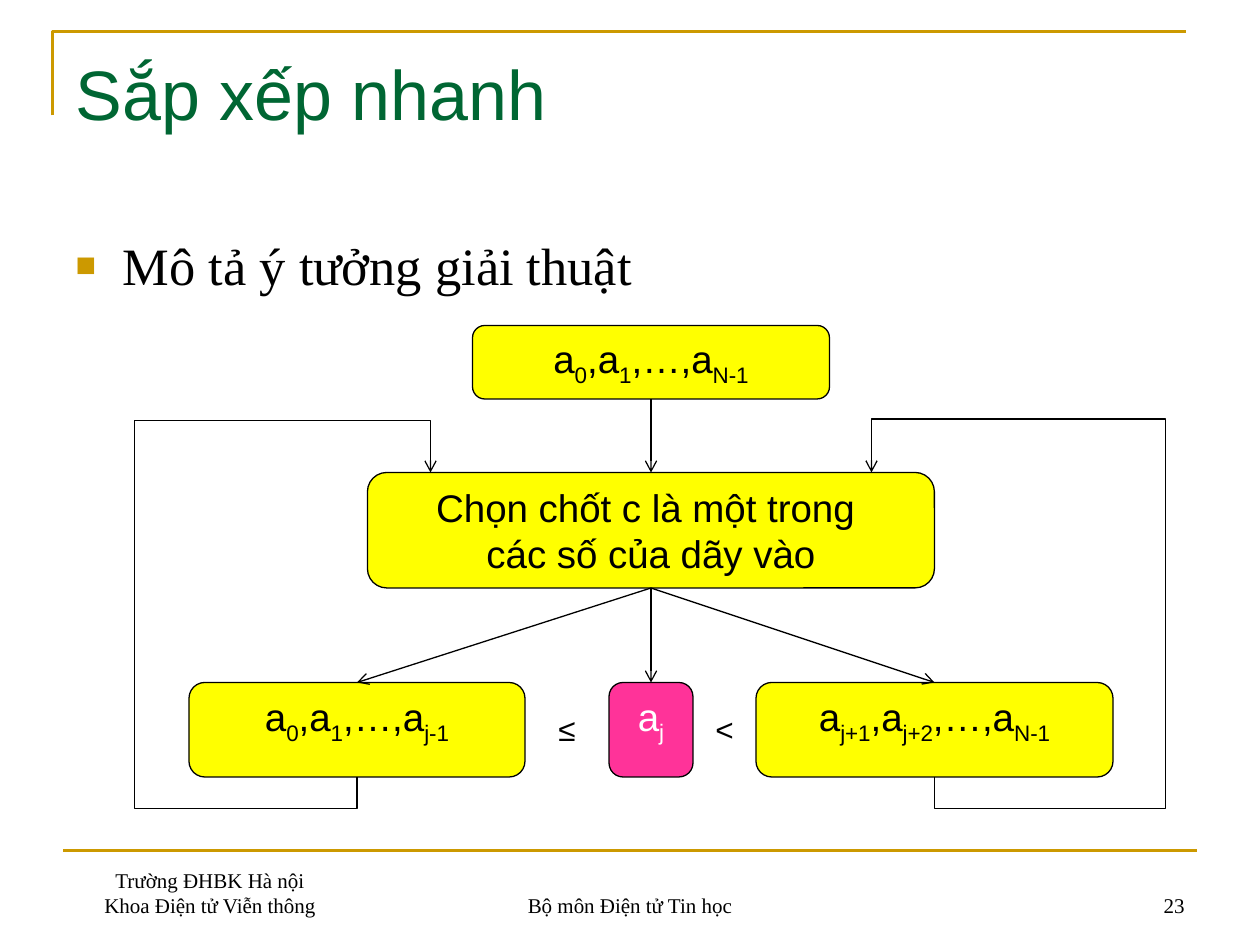
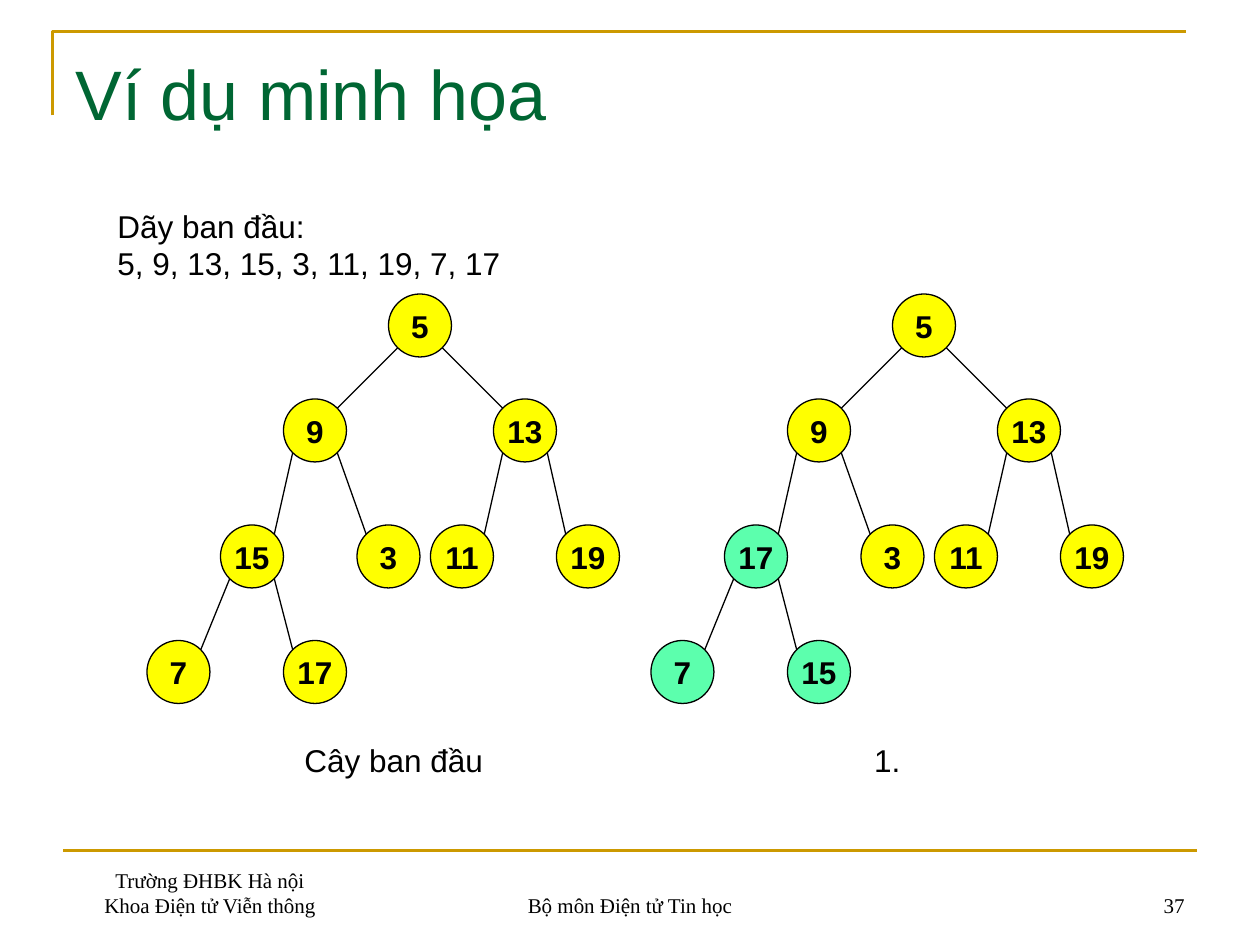
import math

import pptx
import pptx.dml.color
import pptx.enum.shapes
import pptx.enum.text
import pptx.oxml
import pptx.oxml.ns
import pptx.util

Pt = pptx.util.Pt
SHAPE = pptx.enum.shapes.MSO_SHAPE
CONNECTOR = pptx.enum.shapes.MSO_CONNECTOR
ALIGN = pptx.enum.text.PP_ALIGN
ANCHOR = pptx.enum.text.MSO_ANCHOR

COLOURS = {"gold": "CC9900", "title": "006633", "ink": "000000", "white": "FFFFFF",
           "yellow": "FFFF00", "pink": "FF3399", "mint": "5CFFAD"}
SANS, SERIF = "Arial", "Times New Roman"
TITLE_AREA = (36, 21.6, 648, 90)
BODY_AREA = (36, 126, 648, 356)
FOOTERS = [
    (["Trường ĐHBK Hà nội", "Khoa Điện tử Viễn thông"], (36, 492, 168, 36), ALIGN.CENTER),
    (["Bộ môn Điện tử Tin học"], (246, 492, 228, 36), ALIGN.CENTER),
]
NUMBER_AREA = (516, 492, 168, 36)

# Quicksort diagram. In a formula, every second piece is a subscript.
IDEA = "Mô tả ý tưởng giải thuật"
STEPS = {
    "input": ((270, 186, 204, 42), "yellow", [["a", "0", ",a", "1", ",…,a", "N-1"]]),
    "pivot": ((210, 270, 324, 66), "yellow",
              [["Chọn chốt c là một trong "], ["các số của dãy vào"]]),
    "low": ((108, 390, 192, 54), "yellow", [["a", "0", ",a", "1", ",…,a", "j-1"]]),
    "high": ((432, 390, 204, 54), "yellow", [["a", "j+1", ",a", "j+2", ",…,a", "N-1"]]),
    "middle": ((348, 390, 48, 54), "pink", [["a", "j"]]),
}
ARROWS = [("input", "pivot"), ("pivot", "middle"), ("pivot", "low"), ("pivot", "high")]
# step, x of the outer lane, y of the lane above the pivot, x where it enters the pivot
LOOPS = [("low", 77, 240.5, 246), ("high", 666, 239.5, 498)]
LOOP_DROP = 18
SIGNS = [("≤", (306, 402, 36, 29)), ("<", (396, 402, 36, 29))]

# Heap example. Node i has children 2i+1 and 2i+2.
SEQUENCE = ["Dãy ban đầu:", "5, 9, 13, 15, 3, 11, 19, 7, 17"]
NODE_PLACES = [(222, 168), (162, 228), (282, 228), (126, 300), (204, 300),
               (246, 300), (318, 300), (84, 366), (162, 366)]
NODE_SIZE = 36
TREE_STEP = 288
TREES = [
    ([5, 9, 13, 15, 3, 11, 19, 7, 17], set(), "Cây ban đầu", (144, 420, 162, 29)),
    ([5, 9, 13, 17, 3, 11, 19, 7, 15], {3, 7, 8}, "1.", (468, 420, 78, 29)),
]


def rgb(name):
    return pptx.dml.color.RGBColor.from_string(COLOURS[name])


def points(values):
    return [Pt(value) for value in values]


def style(frame, size, font, colour="ink", align=ALIGN.LEFT, bold=False):
    for para in frame.paragraphs:
        para.alignment = align
        for span in para.runs:
            span.font.size = Pt(size)
            span.font.name = font
            span.font.bold = bold
            span.font.color.rgb = rgb(colour)


def add_text(page, lines, area, size=18, font=SANS, align=ALIGN.CENTER, anchor=ANCHOR.TOP):
    frame = page.shapes.add_textbox(*points(area)).text_frame
    frame.word_wrap = True
    frame.vertical_anchor = anchor
    frame.text = "\n".join(lines)
    style(frame, size, font, align=align)


def add_outlined(page, kind, area, fill):
    box = page.shapes.add_shape(kind, *points(area))
    box.shadow.inherit = False
    box.fill.solid()
    box.fill.fore_color.rgb = rgb(fill)
    box.line.color.rgb = rgb("ink")
    box.line.width = Pt(0.75)
    return box


def add_line(page, start, end, colour="ink", width=0.75, arrow=False, kind=CONNECTOR.STRAIGHT):
    line = page.shapes.add_connector(kind, *points(start + end))
    line.line.color.rgb = rgb(colour)
    line.line.width = Pt(width)
    if arrow:
        tail = pptx.oxml.parse_xml(
            f'<a:tailEnd {pptx.oxml.ns.nsdecls("a")} type="arrow"/>')
        line.line._get_or_add_ln().append(tail)
    line._element.spPr.append(
        pptx.oxml.parse_xml(f'<a:effectLst {pptx.oxml.ns.nsdecls("a")}/>'))
    return line


def place(holder, area):
    holder.left, holder.top, holder.width, holder.height = points(area)
    frame = holder.text_frame
    frame.auto_size = pptx.enum.text.MSO_AUTO_SIZE.NONE
    frame.vertical_anchor = ANCHOR.TOP
    frame.margin_top = Pt(7.2)
    return frame


def add_page(deck, layout, title, number):
    """Add a slide with the shared frame, title and footers."""
    page = deck.slides.add_slide(deck.slide_layouts[layout])
    corner = page.shapes.build_freeform(Pt(30), Pt(66))
    corner.add_line_segments([points((30, 18)), points((678, 18))], close=False)
    corner = corner.convert_to_shape()
    corner.shadow.inherit = False
    corner.fill.background()
    corner.line.color.rgb = rgb("gold")
    corner.line.width = Pt(1.5)
    add_line(page, (36, 486), (684, 486), "gold", 1.5)

    frame = place(page.shapes.title, TITLE_AREA)
    frame.text = title
    style(frame, 40, SANS, "title")
    for lines, area, align in FOOTERS + [([number], NUMBER_AREA, ALIGN.RIGHT)]:
        add_text(page, lines, area, 12, SERIF, align, ANCHOR.BOTTOM)
    return page


def add_bullet(page, text):
    frame = place(page.placeholders[1], BODY_AREA)
    frame.text = text
    style(frame, 30, SERIF)
    para = frame.paragraphs[0]
    para.space_before = Pt(0)
    properties = para._p.get_or_add_pPr()
    properties.set("marL", str(Pt(27)))
    properties.set("indent", str(-Pt(27)))
    for tag in (f'buClr {{}}><a:srgbClr val="{COLOURS["gold"]}"/></a:buClr',
                'buSzPct {} val="65000"/', 'buFont {} typeface="Arial"/',
                'buChar {} char="■"/'):
        properties.append(pptx.oxml.parse_xml(
            f'<a:{tag.format(pptx.oxml.ns.nsdecls("a"))}>'))


def add_step(page, area, fill, lines):
    box = add_outlined(page, SHAPE.ROUNDED_RECTANGLE, area, fill)
    frame = box.text_frame
    frame.word_wrap = True
    frame.vertical_anchor = ANCHOR.TOP
    for row, pieces in enumerate(lines):
        para = frame.add_paragraph() if row else frame.paragraphs[0]
        for index, piece in enumerate(pieces):
            span = para.add_run()
            span.text = piece
            if index % 2:
                span.font._element.set("baseline", "-25000")
    style(frame, 22, SANS, "white" if fill == "pink" else "ink", ALIGN.CENTER)
    return box


def add_loop(page, start, end, lane_x, lane_y):
    """Draw a five-part elbow that leaves downwards and enters end from above."""
    rise, shift = start[1] - end[1], end[0] - start[0]
    middle_x, middle_y = (start[0] + end[0]) / 2, (start[1] + end[1]) / 2
    loop = add_line(page, (middle_x - rise / 2, middle_y - shift / 2),
                    (middle_x + rise / 2, middle_y + shift / 2),
                    arrow=True, kind=CONNECTOR.ELBOW)
    loop._element.spPr.find(pptx.oxml.ns.qn("a:xfrm")).set("rot", str(270 * 60000))
    geometry = loop._element.spPr.find(pptx.oxml.ns.qn("a:prstGeom"))
    geometry.set("prst", "bentConnector5")
    ratios = (-LOOP_DROP / rise, (lane_x - start[0]) / shift, (start[1] - lane_y) / rise)
    for index, ratio in enumerate(ratios, 1):
        geometry.avLst.append(pptx.oxml.parse_xml(
            f'<a:gd {pptx.oxml.ns.nsdecls("a")} name="adj{index}" '
            f'fmla="val {round(ratio * 100000)}"/>'))


def build_quicksort(deck):
    page = add_page(deck, 1, "Sắp xếp nhanh", "23")
    add_bullet(page, IDEA)
    boxes = {name: add_step(page, *step) for name, step in STEPS.items()}
    for sign, area in SIGNS:
        add_text(page, [sign], area)
    for source, target in ARROWS:
        arrow = add_line(page, (0, 0), (0, 0), arrow=True)
        arrow.begin_connect(boxes[source], 2)
        arrow.end_connect(boxes[target], 0)
    pivot_top = STEPS["pivot"][0][1]
    for name, lane_x, lane_y, entry_x in LOOPS:
        left, top, width, height = STEPS[name][0]
        add_loop(page, (left + width / 2, top + height), (entry_x, pivot_top), lane_x, lane_y)


def add_tree(page, values, changed, offset):
    near = NODE_SIZE / 2 * (1 - math.sqrt(0.5))
    far = NODE_SIZE - near
    places = [(left + offset, top) for left, top in NODE_PLACES]
    for index, (left, top) in enumerate(places):
        node = add_outlined(page, SHAPE.OVAL, (left, top, NODE_SIZE, NODE_SIZE),
                            "mint" if index in changed else "yellow")
        frame = node.text_frame
        frame.margin_left = frame.margin_right = 0
        frame.vertical_anchor = ANCHOR.MIDDLE
        frame.text = str(values[index])
        style(frame, 18, SANS, align=ALIGN.CENTER, bold=True)
    for index, (left, top) in enumerate(places[1:], 1):
        parent_left, parent_top = places[(index - 1) // 2]
        leave, enter = (near, far) if index % 2 else (far, near)
        add_line(page, (parent_left + leave, parent_top + far), (left + enter, top + near))


def build_heap(deck):
    page = add_page(deck, 5, "Ví dụ minh họa", "37")
    for order, (values, changed, caption, area) in enumerate(TREES):
        add_tree(page, values, changed, order * TREE_STEP)
        add_text(page, [caption], area)
    add_text(page, SEQUENCE, (60, 114.5, 355, 50), align=ALIGN.LEFT)


def main():
    deck = pptx.Presentation()
    deck.slide_width, deck.slide_height = points((720, 540))
    build_quicksort(deck)
    build_heap(deck)
    deck.save("out.pptx")


if __name__ == "__main__":
    main()
